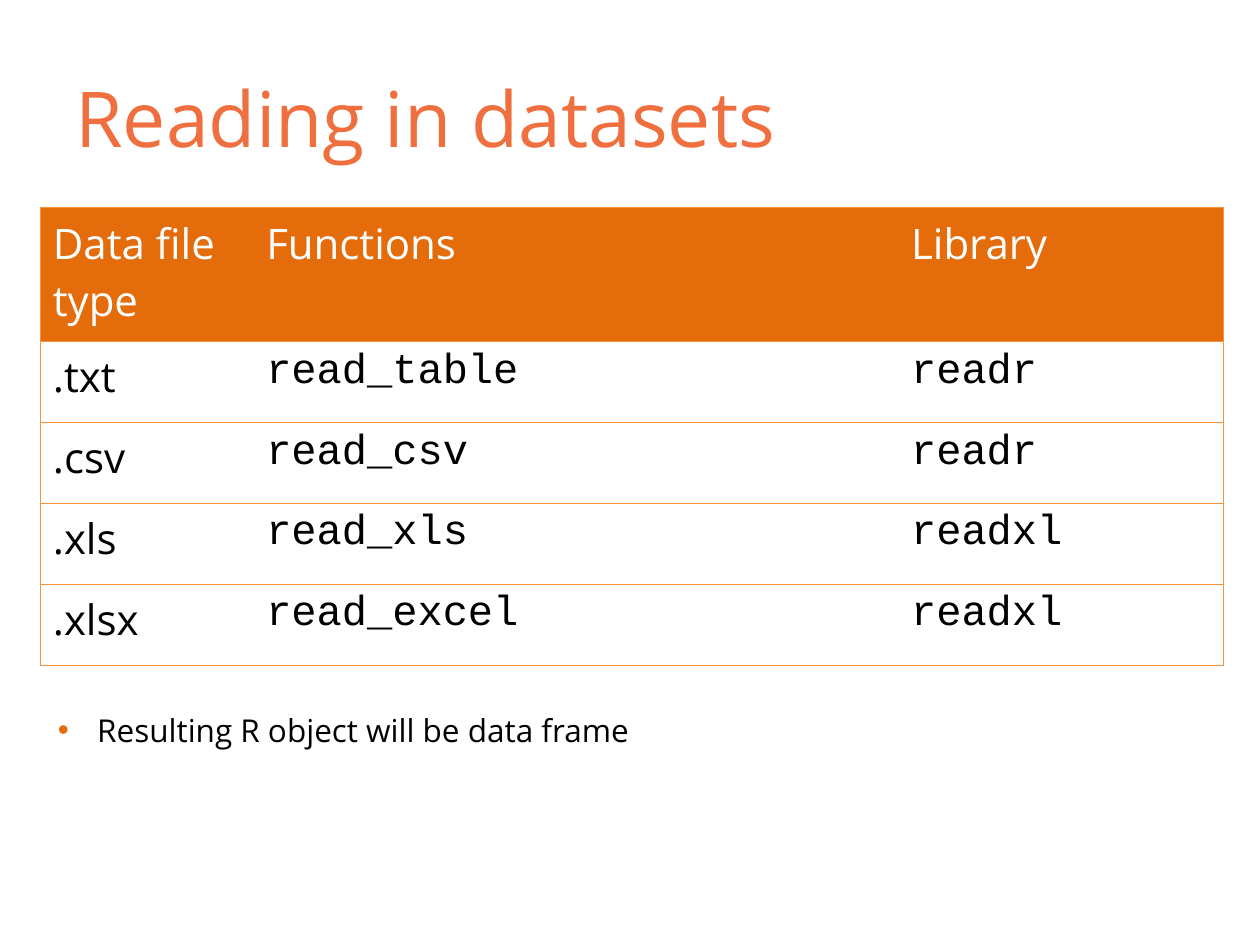
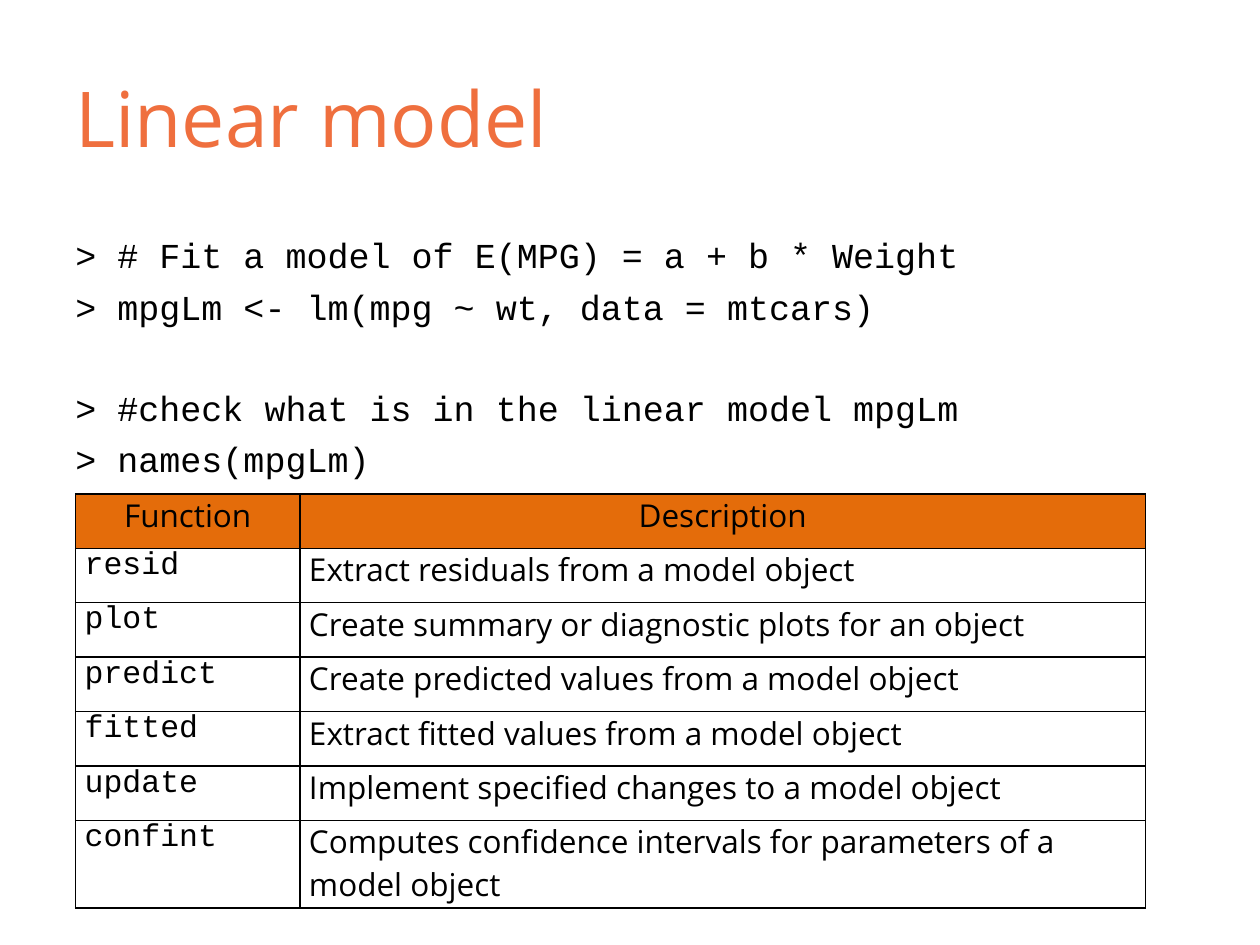
from pptx import Presentation
from pptx.dml.color import RGBColor
from pptx.enum import text
from pptx.oxml.ns import qn
from pptx.util import Pt
from lxml import etree

CORAL = RGBColor(0xEF, 0x6F, 0x3E)
ORANGE = RGBColor(0xE4, 0x6C, 0x0A)
RULE_ORANGE = RGBColor(0xF6, 0x92, 0x40)
BLACK = RGBColor(0, 0, 0)
WHITE = RGBColor(0xFF, 0xFF, 0xFF)
SANS = "Open Sans"
MONO = "Courier New"


def style_text(frame, font_name, size, color):
    for paragraph in frame.paragraphs:
        for run in paragraph.runs:
            run.font.name = font_name
            run.font.size = Pt(size)
            run.font.color.rgb = color


def add_text(slide, place, lines, font_name, size, color):
    frame = slide.shapes.add_textbox(*map(Pt, place)).text_frame
    frame.word_wrap = True
    frame.text = "\n".join(lines)
    style_text(frame, font_name, size, color)
    return frame


def add_titled_slide(deck, title):
    slide = deck.slides.add_slide(deck.slide_layouts[6])
    heading = add_text(slide, (36, 21.6, 648, 90), [title], SANS, 44, CORAL)
    heading.vertical_anchor = text.MSO_ANCHOR.MIDDLE
    return slide


def add_bullet(slide, place, line):
    note = add_text(slide, place, [line], SANS, 18, BLACK)
    props = note.paragraphs[0]._p.get_or_add_pPr()
    props.set("marL", str(Pt(22.5)))
    props.set("indent", str(-Pt(22.5)))
    bullet_color = etree.SubElement(props, qn("a:buClr"))
    etree.SubElement(bullet_color, qn("a:srgbClr"), val=str(ORANGE))
    etree.SubElement(props, qn("a:buFont"), typeface="Arial")
    etree.SubElement(props, qn("a:buChar"), char="•")


def add_code(slide, place, blocks):
    lines = [line for block in blocks for line in block]
    frame = add_text(slide, place, lines, MONO, 20, BLACK)
    block_starts = {len(blocks[0])}
    for index, paragraph in enumerate(frame.paragraphs[1:], 1):
        paragraph.space_before = Pt(33.6 if index in block_starts else 5.5)


def set_borders(cell, sides, color, width):
    props = cell._tc.get_or_add_tcPr()
    for side in "LRTB":
        line = etree.SubElement(props, qn(f"a:ln{side}"), w=str(Pt(width)))
        if side in sides:
            fill = etree.SubElement(line, qn("a:solidFill"))
            etree.SubElement(fill, qn("a:srgbClr"), val=str(color))
        else:
            etree.SubElement(line, qn("a:noFill"))


def add_grid(slide, left, top, widths, heights, rows, mono_columns, size,
             header_color, rule, inner_verticals=True, margins=None,
             header_align=text.PP_ALIGN.LEFT):
    grid = slide.shapes.add_table(
        len(rows), len(widths), Pt(left), Pt(top),
        Pt(sum(widths)), Pt(sum(heights))).table
    grid.horz_banding = False
    for column, width in zip(grid.columns, widths):
        column.width = Pt(width)
    for r, (row, height) in enumerate(zip(rows, heights)):
        grid.rows[r].height = Pt(height)
        for c, words in enumerate(row):
            cell = grid.cell(r, c)
            sides = "TB"
            if inner_verticals or c == 0:
                sides += "L"
            if inner_verticals or c == len(row) - 1:
                sides += "R"
            set_borders(cell, sides, *rule)
            cell.fill.solid()
            cell.fill.fore_color.rgb = WHITE if r else ORANGE
            if margins:
                cell.margin_left = cell.margin_right = Pt(margins[0])
                cell.margin_top = cell.margin_bottom = Pt(margins[1])
            cell.text_frame.text = words
            font_name = MONO if r and c in mono_columns else SANS
            style_text(cell.text_frame, font_name, size,
                       BLACK if r else header_color)
            for run in cell.text_frame.paragraphs[0].runs:
                run.font.bold = False
            if r == 0:
                cell.text_frame.paragraphs[0].alignment = header_align


def build_datasets(deck):
    slide = add_titled_slide(deck, "Reading in datasets")
    readers = [
        ("Data file type", "Functions", "Library"),
        (".txt", "read_table", "readr"),
        (".csv", "read_csv", "readr"),
        (".xls", "read_xls", "readxl"),
        (".xlsx", "read_excel", "readxl"),
    ]
    add_grid(slide, 23, 118.8, (122, 368.5, 185.5), [76.5] + [46.25] * 4,
             readers, (1, 2), 24, WHITE, (RULE_ORANGE, 0.75),
             inner_verticals=False)
    add_bullet(slide, (26, 402.5, 637, 29),
               "Resulting R object will be data frame")


def build_linear_model(deck):
    slide = add_titled_slide(deck, "Linear model")
    add_code(slide, (36, 130, 648, 352), [
        ["> # Fit a model of E(MPG) = a + b * Weight",
         "> mpgLm <- lm(mpg ~ wt, data = mtcars)"],
        ["> #check what is in the linear model mpgLm",
         "> names(mpgLm)"],
    ])
    model_functions = [
        ("Function", "Description"),
        ("resid", "Extract residuals from a model object"),
        ("plot", "Create summary or diagnostic plots for an object"),
        ("predict", "Create predicted values from a model object"),
        ("fitted", "Extract fitted values from a model object"),
        ("update", "Implement specified changes to a model object"),
        ("confint",
         "Computes confidence intervals for parameters of a model object"),
    ]
    add_grid(slide, 43.2, 282.2, (128.2, 483.2), [31.1] * 6 + [50.2],
             model_functions, (0,), 18, BLACK, (BLACK, 1),
             margins=(5.2, 0), header_align=text.PP_ALIGN.CENTER)


def main():
    deck = Presentation()
    deck.slide_width, deck.slide_height = Pt(720), Pt(540)
    build_datasets(deck)
    build_linear_model(deck)
    deck.save("out.pptx")


if __name__ == "__main__":
    main()
